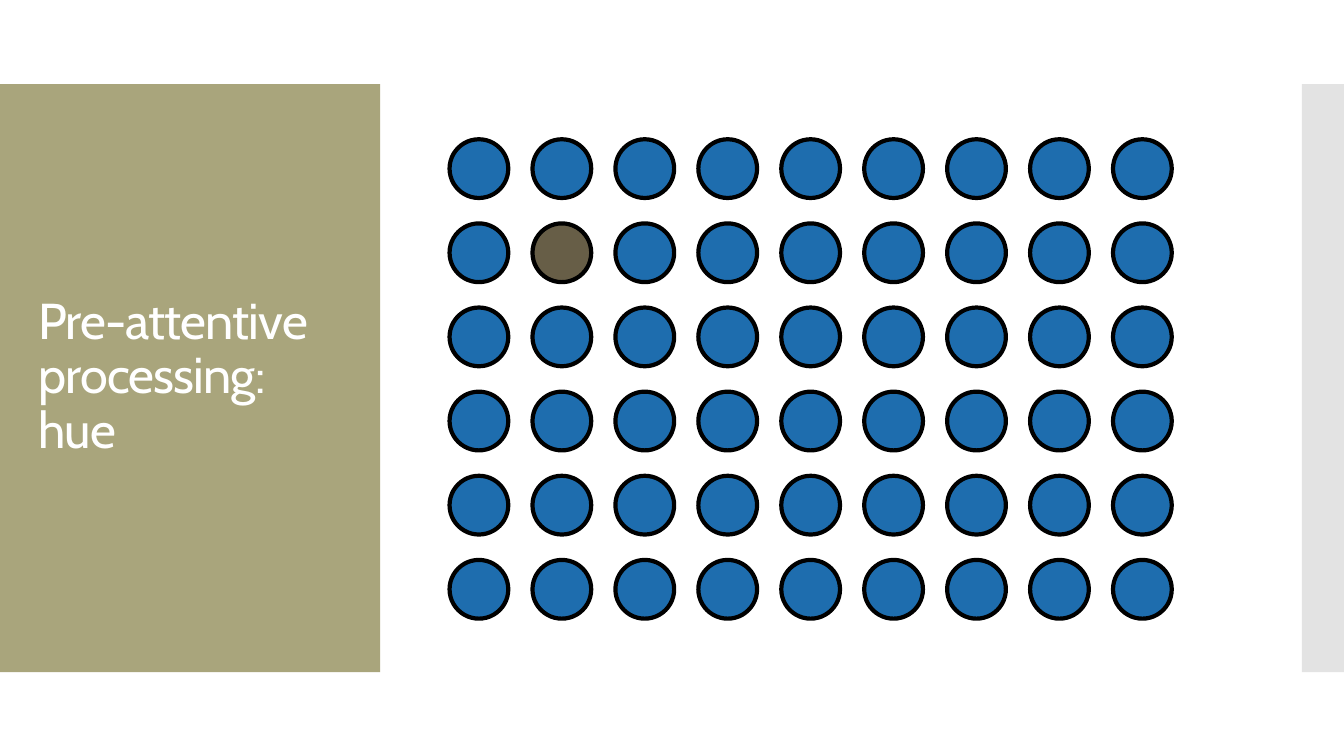
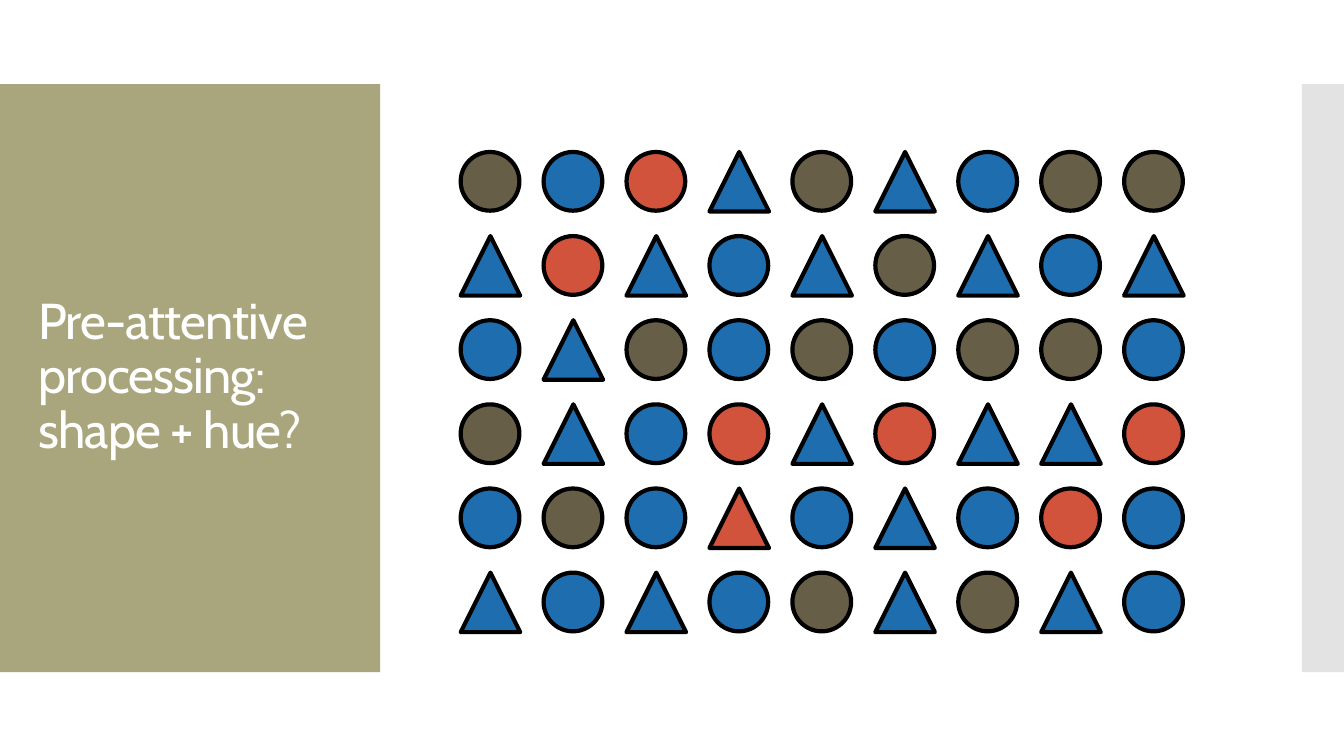
from lxml.etree import SubElement
from pptx import Presentation
from pptx.dml.color import RGBColor
from pptx.enum.shapes import MSO_SHAPE
from pptx.enum.text import MSO_ANCHOR, MSO_AUTO_SIZE, PP_ALIGN
from pptx.oxml.ns import qn
from pptx.util import Cm, Pt

RECT = MSO_SHAPE.RECTANGLE
DISC = MSO_SHAPE.OVAL
PEAK = MSO_SHAPE.ISOSCELES_TRIANGLE
MIDDLE = MSO_ANCHOR.MIDDLE
FIXED = MSO_AUTO_SIZE.NONE
LEFT = PP_ALIGN.LEFT

HUES = {
    "panel": "A9A57C",
    "edge": "C8C8C8",
    "blue": "1E6DAE",
    "olive": "675E47",
    "red": "D2533C",
    "black": "000000",
    "white": "FFFFFF",
}

MARKS = {
    "b": (DISC, "blue"),
    "o": (DISC, "olive"),
    "r": (DISC, "red"),
    "B": (PEAK, "blue"),
    "R": (PEAK, "red"),
}
SIZES = {DISC: 1.48, PEAK: 1.5}
STEP_X, STEP_Y = 2.09, 2.12

BOX = {"left": Cm(0.71), "top": Cm(3.12), "width": Cm(8.18), "height": Cm(12.78)}
FRAME = {"word_wrap": True, "auto_size": FIXED, "vertical_anchor": MIDDLE}
PARA = {"alignment": LEFT, "line_spacing": 0.9}
FONT = {"name": "Cabin", "size": Pt(36), "bold": False}

SLIDES = [
    (
        "Pre-attentive processing: hue",
        (11.33, 3.51),
        ["bbbbbbbbb", "bobbbbbbb"] + ["bbbbbbbbb"] * 4,
    ),
    (
        "Pre-attentive processing: shape + hue?",
        (11.61, 3.83),
        [
            "obrBoBboo",
            "BrBbBoBbB",
            "bBoboboob",
            "oBbrBrBBr",
            "bobRbBbrb",
            "BbBboBoBb",
        ],
    ),
]


def apply(item, style):
    for name, value in style.items():
        setattr(item, name, value)


def color(name):
    return RGBColor.from_string(HUES[name])


def add_form(slide, kind, box, hue):
    form = slide.shapes.add_shape(kind, *map(Cm, box))
    form.shadow.inherit = False
    form.fill.solid()
    form.fill.fore_color.rgb = color(hue)
    return form


def add_band(slide, left, width, hue, alpha=None):
    band = add_form(slide, RECT, (left, 2.12, width, 14.82), hue)
    band.line.fill.background()
    if alpha:
        tint = next(band.element.iter(qn("a:srgbClr")))
        SubElement(tint, qn("a:alpha"), val=str(alpha * 1000))


def add_mark(slide, code, left, top):
    kind, hue = MARKS[code]
    size = SIZES[kind]
    mark = add_form(slide, kind, (left, top, size, size), hue)
    mark.line.color.rgb = color("black")
    mark.line.width = Pt(3)
    SubElement(mark.get_or_add_ln(), qn("a:round"))


def add_grid(slide, start, rows):
    left, top = start
    for row, codes in enumerate(rows):
        for col, code in enumerate(codes):
            add_mark(slide, code, left + col * STEP_X, top + row * STEP_Y)


def set_title(slide, text):
    title = slide.shapes.title
    apply(title, BOX)
    frame = title.text_frame
    apply(frame, FRAME)
    para = frame.paragraphs[0]
    apply(para, PARA)
    run = para.add_run()
    run.text = text
    apply(run.font, FONT)
    run.font.color.rgb = color("white")
    next(title.element.iter(qn("a:rPr"))).set("spc", "-60")
    slide.shapes.element.append(title.element)


def add_slide(deck, text, start, rows):
    slide = deck.slides.add_slide(deck.slide_layouts[5])
    add_band(slide, 0, 9.58, "panel")
    add_band(slide, 32.81, 1.06, "edge", alpha=50)
    add_grid(slide, start, rows)
    set_title(slide, text)


def main():
    deck = Presentation()
    deck.slide_width, deck.slide_height = Cm(33.87), Cm(19.05)
    for text, start, rows in SLIDES:
        add_slide(deck, text, start, rows)
    deck.save("out.pptx")


if __name__ == "__main__":
    main()
